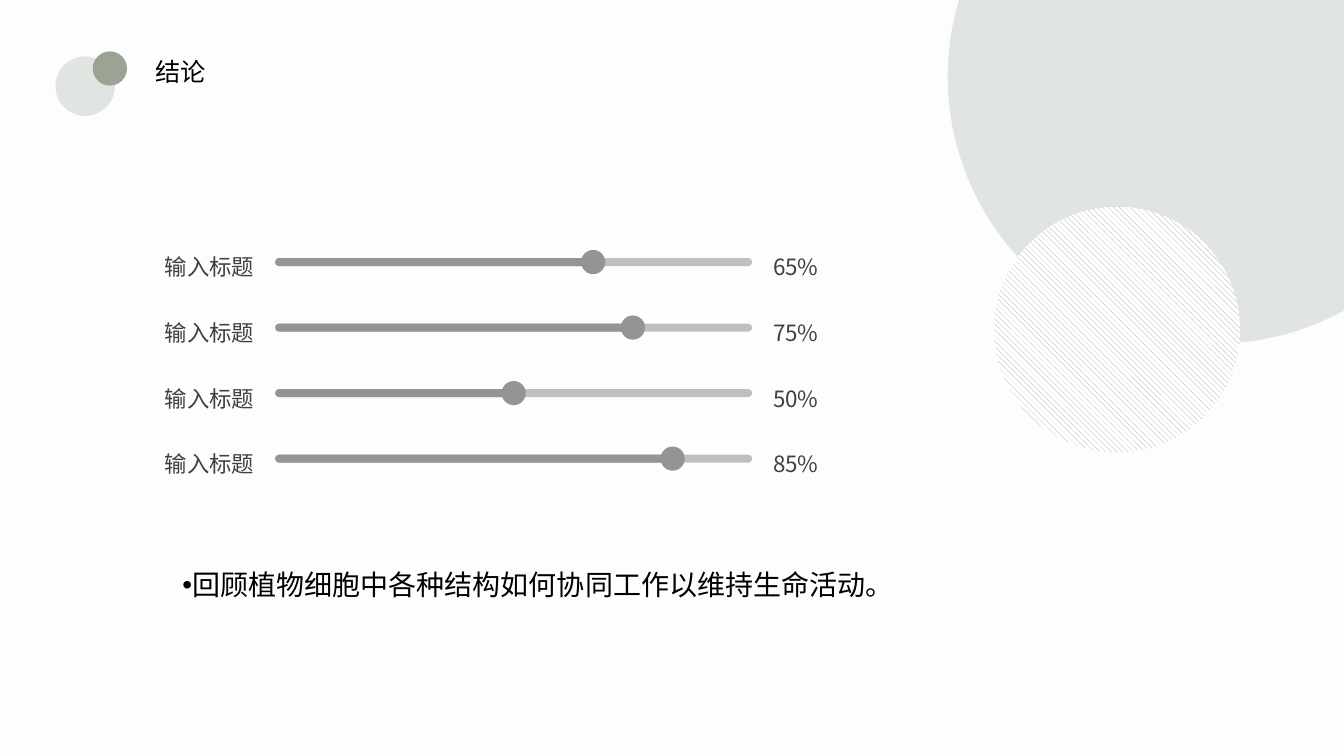
from lxml import etree
from pptx import Presentation
from pptx.dml.color import RGBColor
from pptx.enum import dml, shapes, text
from pptx.oxml.ns import qn
from pptx.util import Inches, Pt

TITLE = "结论"
CONCLUSION = "回顾植物细胞中各种结构如何协同工作以维持生命活动。"
# label, value, share of the track that is filled
SLIDERS = [
    ("输入标题", "65%", 2 / 3),
    ("输入标题", "75%", 3 / 4),
    ("输入标题", "50%", 1 / 2),
    ("输入标题", "85%", 5 / 6),
]

THEME = {
    "background": "FDFDFD", "pale": "E1E5E2", "sage": "9AA394",
    "track": "BFBFBF", "slider": "929591", "white": "FFFFFF",
    "black": "000000", "label": "404040",
    "font": "Noto Sans CJK SC", "body_font": "Cabin",
    "title_size": 18, "body_size": 20, "label_size": 16,
}

TRACK_LEFT, TRACK_WIDTH, TRACK_HEIGHT = 2.73, 4.73, 0.08
HANDLE = 0.24
FIRST_CENTER, ROW_PITCH = 2.6, 0.65
LABEL_LEFT, LABEL_WIDTH = 1.52, 1.1
VALUE_LEFT, VALUE_WIDTH = 7.57, 0.66
LABEL_HEIGHT, LABEL_RISE = 0.41, 0.2


def color(name):
    return RGBColor.from_string(THEME[name])


def set_all(target, values):
    for name, value in values.items():
        setattr(target, name, value)


def place(shape, left, top, width, height):
    set_all(shape, {"left": Inches(left), "top": Inches(top),
                    "width": Inches(width), "height": Inches(height)})


def write(shape, words, size, ink, font="font", frame=None, paragraph=None, bullet=None):
    """Put one formatted paragraph into a text box or placeholder."""
    set_all(shape.text_frame, {"vertical_anchor": text.MSO_ANCHOR.TOP, "word_wrap": True,
                               "auto_size": text.MSO_AUTO_SIZE.NONE, **(frame or {})})
    line = shape.text_frame.paragraphs[0]
    set_all(line, {"alignment": text.PP_ALIGN.LEFT, "space_before": Pt(0),
                   **(paragraph or {})})
    if bullet:
        properties = line._p.get_or_add_pPr()
        properties.set("marL", "0")
        properties.set("indent", "0")
        etree.SubElement(properties, qn("a:buChar"), char=bullet)
    run = line.add_run()
    run.text = words
    set_all(run.font, {"size": Pt(THEME[size]), "name": THEME[font]})
    run.font.color.rgb = color(ink)
    etree.SubElement(run._r.get_or_add_rPr(), qn("a:ea"), typeface=THEME["font"])


def add_figure(parent, kind, left, top, width, height, fill):
    shape = parent.shapes.add_shape(kind, Inches(left), Inches(top),
                                    Inches(width), Inches(height))
    shape.shadow.inherit = False
    shape.fill.solid()
    shape.fill.fore_color.rgb = color(fill)
    shape.line.fill.background()
    return shape


def add_circle(parent, left, top, diameter, fill):
    return add_figure(parent, shapes.MSO_SHAPE.OVAL, left, top, diameter, diameter, fill)


def add_bar(parent, center, width, fill):
    bar = add_figure(parent, shapes.MSO_SHAPE.ROUNDED_RECTANGLE, TRACK_LEFT,
                     center - TRACK_HEIGHT / 2, width, TRACK_HEIGHT, fill)
    bar.adjustments[0] = 0.5


def add_label(parent, words, left, width, center, alignment):
    box = parent.shapes.add_textbox(Inches(left), Inches(center - LABEL_RISE),
                                    Inches(width), Inches(LABEL_HEIGHT))
    write(box, words, "label_size", "label",
          frame={"word_wrap": False, "auto_size": text.MSO_AUTO_SIZE.SHAPE_TO_FIT_TEXT},
          paragraph={"alignment": alignment, "line_spacing": 1.25, "space_after": Pt(8)})


def add_slider(parent, center, label, value, share):
    filled = TRACK_WIDTH * share
    add_bar(parent, center, TRACK_WIDTH, "track")
    add_bar(parent, center, filled, "slider")
    add_circle(parent, TRACK_LEFT + filled - HANDLE / 2, center - HANDLE / 2,
               HANDLE, "slider")
    add_label(parent, label, LABEL_LEFT, LABEL_WIDTH, center, text.PP_ALIGN.RIGHT)
    add_label(parent, value, VALUE_LEFT, VALUE_WIDTH, center, text.PP_ALIGN.LEFT)


def main():
    presentation = Presentation()
    set_all(presentation, {"slide_width": Inches(13.33), "slide_height": Inches(7.5)})
    slide = presentation.slides.add_slide(presentation.slide_layouts[1])
    slide.background.fill.solid()
    slide.background.fill.fore_color.rgb = color("background")

    title, body = slide.placeholders
    place(title, 1.44, 0.51, 2.89, 0.64)
    write(title, TITLE, "title_size", "black")
    place(body, 1.71, 5.5, 10.83, 0.77)
    write(body, CONCLUSION, "body_size", "black", font="body_font",
          paragraph={"line_spacing": 1.25}, bullet="•")

    title_mark = slide.shapes.add_group_shape()
    add_circle(title_mark, 0.55, 0.56, 0.59, "pale")
    add_circle(title_mark, 0.92, 0.51, 0.34, "sage")

    slider_panel = slide.shapes.add_group_shape()
    for row, (label, value, share) in enumerate(SLIDERS):
        add_slider(slider_panel, FIRST_CENTER + row * ROW_PITCH, label, value, share)

    add_circle(slide, 9.4, -1.89, 5.3, "pale")
    hatched = add_circle(slide, 9.86, 2.05, 2.44, "white")
    hatched.fill.patterned()
    hatched.fill.pattern = dml.MSO_PATTERN.WIDE_DOWNWARD_DIAGONAL
    hatched.fill.fore_color.rgb = color("sage")
    hatched.fill.back_color.rgb = color("white")

    presentation.save("out.pptx")


if __name__ == "__main__":
    main()
